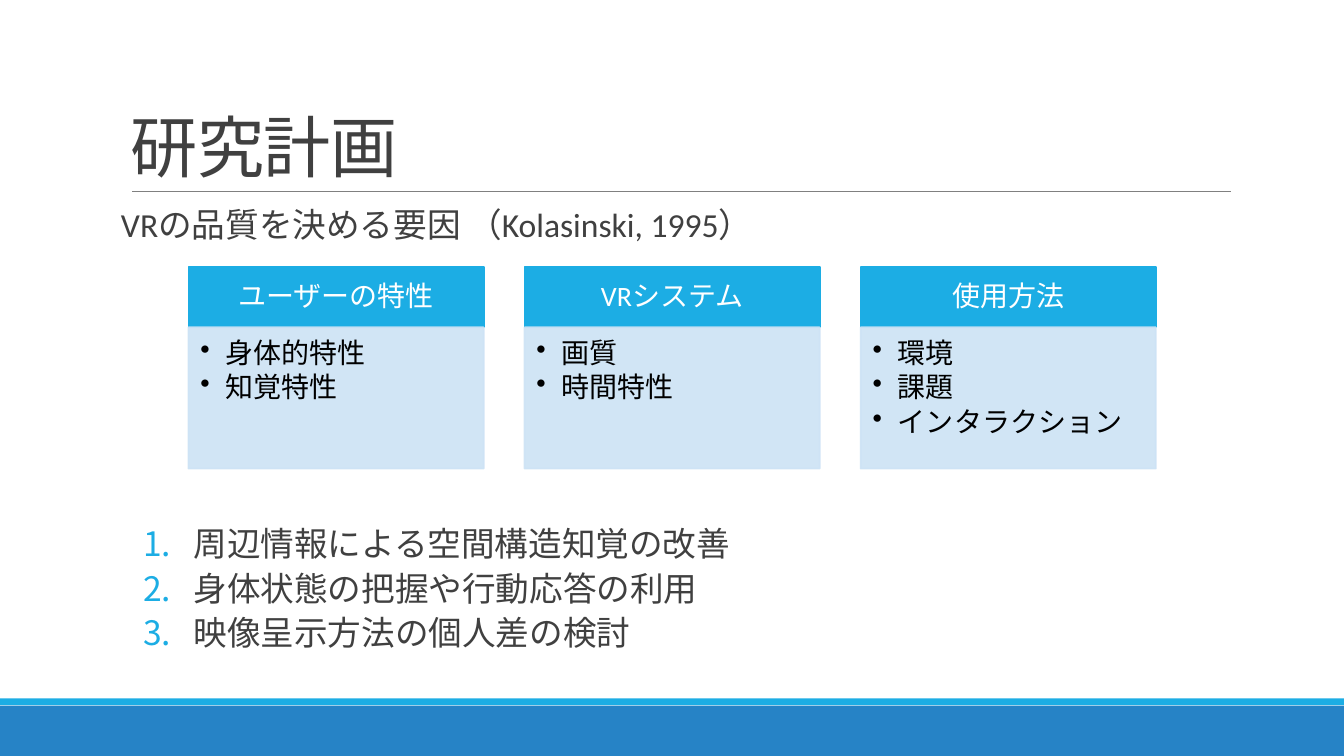
from lxml import etree
from pptx import Presentation
from pptx import util as u
from pptx.dml.color import RGBColor
from pptx.enum import lang, shapes, text
from pptx.oxml import ns

DARK = RGBColor(0x40, 0x40, 0x40)
GRAY = RGBColor(0x80, 0x80, 0x80)
CYAN = RGBColor(0x1C, 0xAD, 0xE4)
BLUE = RGBColor(0x26, 0x83, 0xC6)
PALE = RGBColor(0xCD, 0xE3, 0xF5)
WHITE = RGBColor(0xFF, 0xFF, 0xFF)
BLACK = RGBColor(0x00, 0x00, 0x00)

CARDS = [
    ("ユーザーの特性", ["身体的特性", "知覚特性"]),
    ("VRシステム", ["画質", "時間特性"]),
    ("使用方法", ["環境", "課題", "インタラクション"]),
]
PLANS = [
    "周辺情報による空間構造知覚の改善",
    "身体状態の把握や行動応答の利用",
    "映像呈示方法の個人差の検討",
]


def apply(target, values):
    for name, value in values.items():
        setattr(target, name, value)


def add_element(parent, tag, **attributes):
    return etree.SubElement(parent, ns.qn(tag), attributes)


def set_marker(paragraph, margin, hanging, tag, color=None, **attributes):
    properties = paragraph._p.get_or_add_pPr()
    properties.set("marL", str(u.Cm(margin)))
    properties.set("indent", str(-u.Cm(hanging)))
    if color is not None:
        add_element(add_element(properties, "a:buClr"), "a:srgbClr", val=str(color))
    add_element(properties, tag, **attributes)


def write_text(shape, lines, size, color, insets, anchor, paragraph_format, marker=None):
    frame = shape.text_frame
    left, top, right, bottom = [u.Cm(inset) for inset in insets]
    apply(frame, {
        "word_wrap": True,
        "auto_size": text.MSO_AUTO_SIZE.NONE,
        "vertical_anchor": anchor,
        "margin_left": left,
        "margin_top": top,
        "margin_right": right,
        "margin_bottom": bottom,
    })
    for index, line in enumerate(lines):
        paragraph = frame.paragraphs[0] if index == 0 else frame.add_paragraph()
        if marker:
            set_marker(paragraph, **marker)
        apply(paragraph, {"alignment": text.PP_ALIGN.LEFT, "line_spacing": 0.9})
        apply(paragraph, paragraph_format)
        if index == 0:
            paragraph.space_before = u.Pt(0)
        run = paragraph.add_run()
        run.text = line
        apply(run.font, {
            "name": "Calibri",
            "size": u.Pt(size),
            "language_id": lang.MSO_LANGUAGE_ID.JAPANESE,
        })
        run.font.color.rgb = color


def add_block(slide, left, top, width, height, color, outlined=False, opacity=100):
    shape = slide.shapes.add_shape(
        shapes.MSO_SHAPE.RECTANGLE, u.Cm(left), u.Cm(top), u.Cm(width), u.Cm(height))
    shape.shadow.inherit = False
    shape.fill.solid()
    shape.fill.fore_color.rgb = color
    if outlined:
        shape.line.color.rgb = color
        shape.line.width = u.Pt(1.25)
    else:
        shape.line.fill.background()
    if opacity < 100:
        for tone in shape._element.spPr.iter(ns.qn("a:srgbClr")):
            add_element(tone, "a:alpha", val=str(opacity * 1000))
    return shape


def add_footer(slide, left, top, width, height):
    strip = 0.18
    add_block(slide, left, top + strip, width, height - strip, BLUE)
    add_block(slide, left, top, width, strip - 0.01, CYAN)


def add_title(slide, left, top, width, height):
    title = slide.shapes.title
    apply(title, {"left": u.Cm(left), "top": u.Cm(top),
                  "width": u.Cm(width), "height": u.Cm(height)})
    write_text(title, ["研究計画"], 48, DARK, (0.25, 0.13, 0.25, 0.13),
               text.MSO_ANCHOR.BOTTOM, {"line_spacing": 0.85})
    title.text_frame.paragraphs[0].runs[0].font._element.set("spc", "-50")
    rule_top = u.Cm(top + height)
    rule = slide.shapes.add_connector(
        shapes.MSO_CONNECTOR.STRAIGHT, u.Cm(left + 0.28), rule_top,
        u.Cm(left + width + 0.02), rule_top)
    rule.line.color.rgb = GRAY
    rule.line.width = u.Pt(0.5)
    add_element(rule._element.spPr, "a:effectLst")


def add_body_text(slide, left, top, width, height, lines, paragraph_format, marker=None):
    box = slide.shapes.add_textbox(u.Cm(left), u.Cm(top), u.Cm(width), u.Cm(height))
    write_text(box, lines, 24, DARK, (0, 0.13, 0, 0.13), text.MSO_ANCHOR.TOP,
               paragraph_format, marker)


def add_card(slide, left, top, width, height, heading, items):
    header_height = 1.52
    header = add_block(slide, left, top, width, header_height, CYAN, outlined=True)
    write_text(header, [heading], 20, WHITE, (0.4, 0.23, 0.4, 0.23),
               text.MSO_ANCHOR.MIDDLE, {"alignment": text.PP_ALIGN.CENTER})
    body = add_block(slide, left, top + header_height, width, height - header_height,
                     PALE, outlined=True, opacity=90)
    write_text(body, items, 20, BLACK, (0.3, 0.3, 0.4, 0.43), text.MSO_ANCHOR.TOP,
               {"space_after": u.Pt(3)},
               {"margin": 0.64, "hanging": 0.64, "tag": "a:buChar", "char": "•"})


def add_cards(slide, left, top, width, height):
    gap = 1.03
    card_width = (width - gap * (len(CARDS) - 1)) / len(CARDS)
    for index, (heading, items) in enumerate(CARDS):
        add_card(slide, left + index * (card_width + gap), top, card_width, height,
                 heading, items)


def main():
    presentation = Presentation()
    presentation.slide_width = u.Cm(33.87)
    presentation.slide_height = u.Cm(19.05)
    slide = presentation.slides.add_slide(presentation.slide_layouts[5])
    add_footer(slide, 0, 17.6, 33.87, 1.45)
    add_title(slide, 3.05, 0.79, 27.94, 4.04)
    add_body_text(slide, 3.05, 5.13, 27.94, 1.2,
                  ["VRの品質を決める要因 （Kolasinski, 1995）"], {})
    add_cards(slide, 4.75, 6.73, 24.38, 5.08)
    add_body_text(slide, 3.05, 13.16, 27.94, 4.19, PLANS,
                  {"space_before": u.Pt(2), "space_after": u.Pt(4)},
                  {"margin": 1.83, "hanging": 1.27, "tag": "a:buAutoNum",
                   "color": CYAN, "type": "arabicPeriod"})
    presentation.save("out.pptx")


if __name__ == "__main__":
    main()
